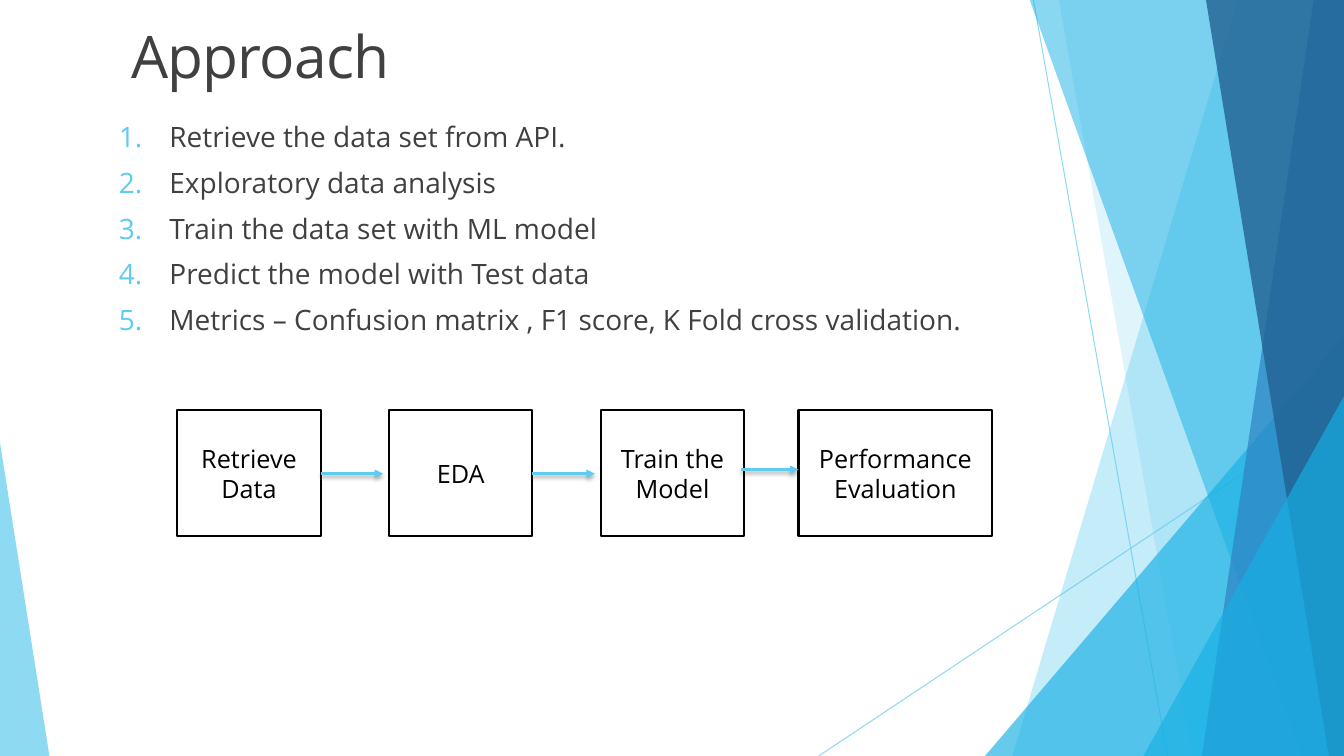
from lxml.etree import SubElement
from pptx import Presentation
from pptx.dml.color import RGBColor
from pptx.enum.shapes import MSO_CONNECTOR, MSO_SHAPE
from pptx.enum.text import MSO_ANCHOR, MSO_AUTO_SIZE, PP_ALIGN
from pptx.oxml.ns import qn
from pptx.util import Inches, Pt

FONT = "Open Sans"
WIDTH, HEIGHT = 13.33, 7.5
SKY, CYAN, BLUE, NAVY = "5FCBEF", "17B0E4", "2E83C3", "226292"
BLACK, WHITE, GREY = "000000", "FFFFFF", "404040"

STEPS = [
    "Retrieve the data set from API.",
    "Exploratory data analysis",
    "Train the data set with ML model",
    "Predict the model with Test data",
    "Metrics – Confusion matrix , F1 score, K Fold cross validation.",
]

# Ribbons down the right edge: top x, bottom x, colour, opacity
BACK_RIBBONS = [(12.28, 10.04, SKY, 36), (10.5, 11.83, SKY, 20)]
FRONT_RIBBONS = [
    (10.21, 12.91, CYAN, 50),
    (13.03, 11.92, BLUE, 70),
    (11.96, 13.18, NAVY, 80),
]

# Flow boxes: label, left, width
FLOW = [
    ("Retrieve Data", 1.76, 1.42),
    ("EDA", 3.86, 1.42),
    ("Train the Model", 5.96, 1.42),
    ("Performance Evaluation", 7.92, 1.92),
]
FLOW_TOP, FLOW_HEIGHT = 4.07, 1.25
# Flow arrows: start x, end x, y
ARROWS = [(3.18, 3.8, 4.7), (5.28, 5.9, 4.7), (7.35, 7.92, 4.66)]


def rgb(value):
    """Turn a hex string into a colour."""
    return RGBColor.from_string(value)


def child(parent, tag, **attrs):
    """Append an XML element with attributes and return it."""
    return SubElement(parent, qn(tag), {k: str(v) for k, v in attrs.items()})


def set_alpha(sp, percent):
    """Set the opacity of the only colour in a shape's properties."""
    colour = next(sp.element.spPr.iter(qn("a:srgbClr")))
    child(colour, "a:alpha", val=percent * 1000)


def write(p, text, size, color, align=PP_ALIGN.LEFT, line=None,
          before=0, after=0, spacing=None):
    """Fill a paragraph with one formatted run."""
    p.alignment = align
    p.space_before, p.space_after = Pt(before), Pt(after)
    if line:
        p.line_spacing = line
    r = p.add_run()
    r.text = text
    r.font.name, r.font.size = FONT, Pt(size)
    r.font.color.rgb = rgb(color)
    if spacing:
        r.font._element.set("spc", str(round(spacing * 100)))


def number(p, color, indent):
    """Give a paragraph a coloured number and a hanging indent."""
    pPr = p._p.get_or_add_pPr()
    pPr.set("marL", str(Inches(indent)))
    pPr.set("indent", str(-Inches(indent)))
    child(child(pPr, "a:buClr"), "a:srgbClr", val=color)
    child(pPr, "a:buFont", typeface=FONT)
    child(pPr, "a:buAutoNum", type="arabicPeriod")


def paint(sp, color, alpha):
    """Give a decorative shape a translucent fill and no outline."""
    sp.shadow.inherit = False
    sp.fill.solid()
    sp.fill.fore_color.rgb = rgb(color)
    sp.line.fill.background()
    set_alpha(sp, alpha)


def add_ribbon(s, top_x, bottom_x, color, alpha):
    """Draw a slanted panel that reaches the right edge of the slide."""
    builder = s.shapes.build_freeform(Inches(top_x), Inches(-0.01))
    corners = [(WIDTH, -0.01), (WIDTH, HEIGHT), (bottom_x, HEIGHT)]
    builder.add_line_segments([(Inches(x), Inches(y)) for x, y in corners])
    paint(builder.convert_to_shape(), color, alpha)


def add_triangle(s, left, top, width, apex, color, alpha):
    """Draw a triangle that stands on the bottom edge of the slide."""
    sp = s.shapes.add_shape(MSO_SHAPE.ISOSCELES_TRIANGLE, Inches(left),
                            Inches(top), Inches(width), Inches(HEIGHT - top))
    sp.adjustments[0] = apex
    paint(sp, color, alpha)


def add_line(s, start, end, width):
    """Draw a sky-blue line; return it with its empty effect list."""
    x1, y1, x2, y2 = (Inches(v) for v in (*start, *end))
    line = s.shapes.add_connector(MSO_CONNECTOR.STRAIGHT, x1, y1, x2, y2)
    line.line.color.rgb = rgb(SKY)
    line.line.width = Pt(width)
    return line, child(line.element.spPr, "a:effectLst")


def add_arrow(s, x1, x2, y):
    """Draw a horizontal arrow with a soft shadow."""
    line, effects = add_line(s, (x1, y), (x2, y), 2)
    child(line.line._get_or_add_ln(), "a:tailEnd", type="triangle")
    shadow = child(effects, "a:outerShdw", blurRad=Pt(3), dist=Pt(2),
                   dir=90 * 60000, rotWithShape=0)
    child(child(shadow, "a:srgbClr", val=BLACK), "a:alpha", val=35000)


def add_box(s, label, left, width):
    """Draw one outlined step of the flow."""
    sp = s.shapes.add_shape(MSO_SHAPE.RECTANGLE, Inches(left),
                            Inches(FLOW_TOP), Inches(width),
                            Inches(FLOW_HEIGHT))
    sp.shadow.inherit = False
    sp.fill.solid()
    sp.fill.fore_color.rgb = rgb(WHITE)
    sp.line.color.rgb = rgb(BLACK)
    sp.line.width = Pt(1.5)
    tf = sp.text_frame
    tf.word_wrap, tf.vertical_anchor = True, MSO_ANCHOR.MIDDLE
    write(tf.paragraphs[0], label, 18, BLACK, align=PP_ALIGN.CENTER)


def place(holder, left, top, width, height):
    """Move a placeholder, bring it to the front and return its text frame."""
    holder.left, holder.top = Inches(left), Inches(top)
    holder.width, holder.height = Inches(width), Inches(height)
    holder.element.getparent().append(holder.element)
    tf = holder.text_frame
    tf.word_wrap, tf.auto_size = True, MSO_AUTO_SIZE.NONE
    tf.vertical_anchor = MSO_ANCHOR.TOP
    return tf


def add_decor(s):
    """Draw the translucent facets along the slide edges."""
    for start, end in [((10.25, 0), (11.58, HEIGHT)),
                       ((WIDTH, 4.03), (8.12, HEIGHT))]:
        line, _ = add_line(s, start, end, 0.75)
        set_alpha(line, 70)
    for ribbon in BACK_RIBBONS:
        add_ribbon(s, *ribbon)
    add_triangle(s, 9.77, 3.33, 3.56, 1, CYAN, 66)
    for ribbon in FRONT_RIBBONS:
        add_ribbon(s, *ribbon)
    add_triangle(s, 11.34, 3.93, 1.99, 1, CYAN, 66)
    add_triangle(s, 0, 4.39, 0.49, 0, SKY, 70)


def main():
    """Build the slide and save it."""
    prs = Presentation()
    prs.slide_width, prs.slide_height = Inches(WIDTH), Inches(HEIGHT)
    s = prs.slides.add_slide(prs.slide_layouts[1])
    add_decor(s)

    tf = place(s.shapes.title, 1.2, 0.31, 11, 0.68)
    write(tf.paragraphs[0], "Approach", 41.9, GREY, line=0.75, spacing=-0.5)

    tf = place(s.placeholders[1], 1.08, 1.17, 11, 5.73)
    for i, step in enumerate(STEPS):
        p = tf.add_paragraph() if i else tf.paragraphs[0]
        write(p, step, 20, GREY, line=0.9, before=9.6, after=1.6)
        number(p, SKY, 0.5)

    for box in FLOW:
        add_box(s, *box)
    for arrow in ARROWS:
        add_arrow(s, *arrow)
    prs.save("out.pptx")


main()
